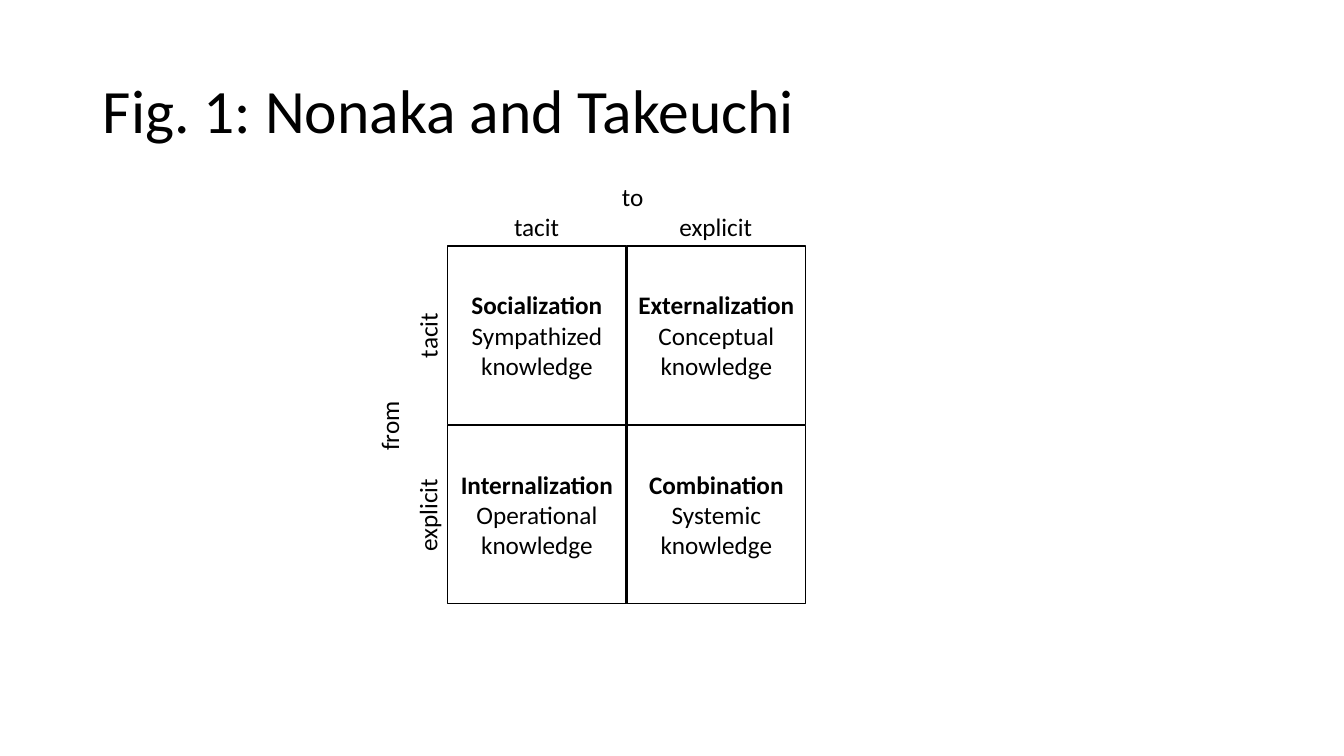
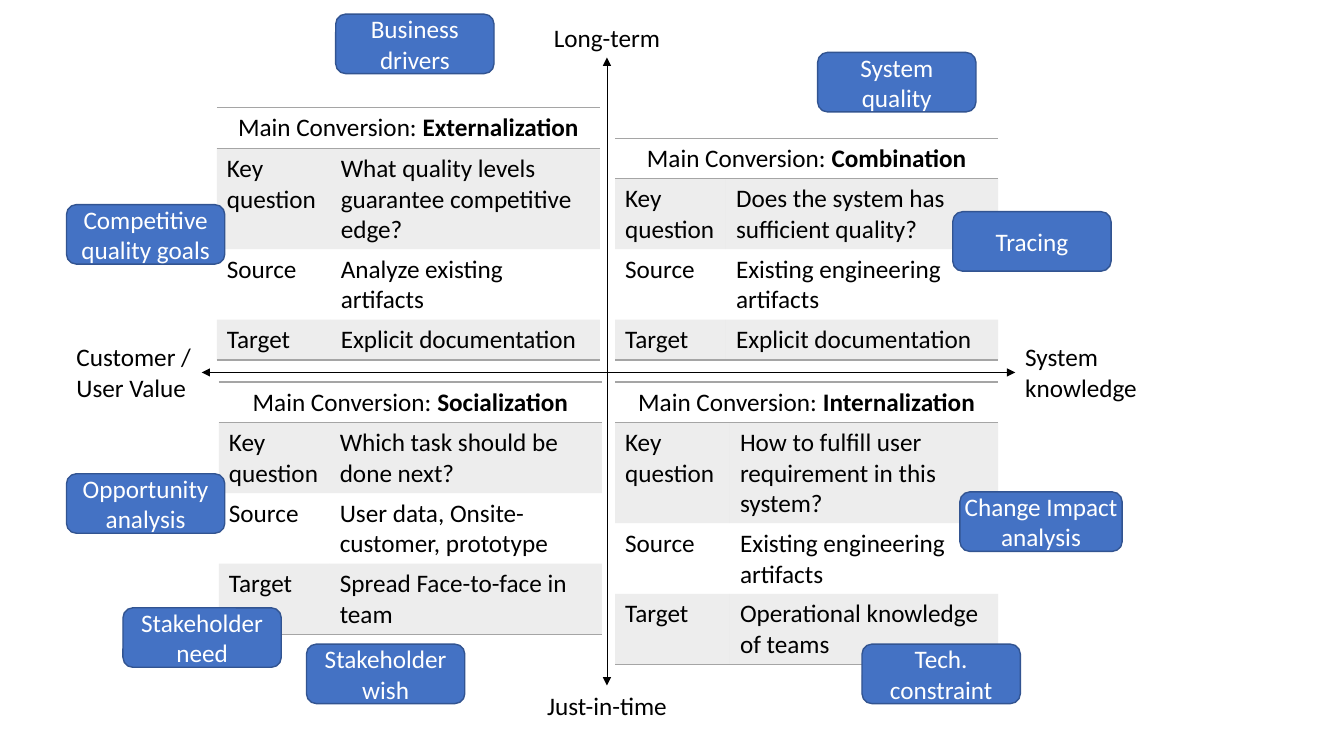
"""Build two slides on knowledge conversion: a 2 x 2 matrix and a quadrant map."""
from lxml import etree
from pptx import Presentation
from pptx.dml.color import RGBColor as RGB
from pptx.enum.shapes import MSO_CONNECTOR, MSO_SHAPE as SHAPE
from pptx.enum.text import MSO_ANCHOR as ANCHOR, MSO_AUTO_SIZE as AUTO, PP_ALIGN as AL
from pptx.oxml.ns import qn
from pptx.util import Inches, Pt

COLORS = {"text": "000000", "light": "FFFFFF", "pill": "4472C4",
          "edge": "325491", "grey": "A5A5A5"}
FONT = {"name": "Calibri", "size": Pt(18)}
TITLE_FONT = {"name": "Calibri", "size": Pt(44)}
NO_GRID_STYLE = "{2D5ABB26-0587-4C30-8999-92F81FD0307C}"

TITLE = "Fig. 1: Nonaka and Takeuchi"
MATRIX = [
    [("Socialization", "Sympathized knowledge"), ("Externalization", "Conceptual knowledge")],
    [("Internalization", "Operational knowledge"), ("Combination", "Systemic knowledge")],
]
MATRIX_LEFT, MATRIX_TOP, SIDE, STEP = 4.44, 2.44, 1.77, 1.78
KINDS = [("tacit", 0.65), ("explicit", 0.93)]
LABEL_H = 0.4

ROW_NAMES = ["Key question", "Source", "Target"]
TABLES = [
    ("Externalization", 2.15, 1.07, 1.13, [
        ("What quality levels guarantee competitive edge?", 3),
        ("Analyze existing artifacts", 2), ("Explicit documentation", 1)]),
    ("Internalization", 6.1, 3.79, 1.14, [
        ("How to fulfill user requirement in this system?", 3),
        ("Existing engineering artifacts", 2), ("Operational knowledge of teams", 2)]),
    ("Socialization", 2.17, 3.79, 1.1, [
        ("Which task should be done next?", 2),
        ("User data, Onsite-customer, prototype", 2), ("Spread Face-to-face in team", 2)]),
    ("Combination", 6.1, 1.37, 1.1, [
        ("Does the system has sufficient quality?", 2),
        ("Existing engineering artifacts", 2), ("Explicit documentation", 1)]),
]
TABLE_W = 3.8
AXIS_LABELS = {
    "west": ("Customer / User Value", (0.66, 3.34, 1.34, 0.71), AL.LEFT),
    "east": ("System knowledge", (10.07, 3.34, 1.7, 0.71), AL.LEFT),
    "south": ("Just-in-time", (5.17, 6.8, 1.7, LABEL_H), AL.CENTER),
    "north": ("Long-term", (5.17, 0.17, 1.7, LABEL_H), AL.CENTER),
}
AXES = [("west", 3, "east", 1), ("south", 0, "north", 2)]
PILL_W, PILL_H = 1.57, 0.59
PILLS = [
    ("Stakeholder wish", 3.04, 6.39),
    ("Tech. constraint", 8.55, 6.39),
    ("Business drivers", 3.33, 0.14),
    ("Competitive quality goals", 0.66, 2.03),
    ("System quality", 8.11, 0.52),
    ("Stakeholder need", 1.22, 6.03),
    ("Opportunity analysis", 0.66, 4.7),
    ("Tracing", 9.45, 2.1),
]
WIDE_PILL = ("Change Impact analysis", 9.52, 4.88, 1.61, 0)


def color(name):
    return RGB.from_string(COLORS[name])


def assign(target, values):
    for key, value in values.items():
        setattr(target, key, value)


def write(tf, paragraphs, align=AL.LEFT, ink="text", font=FONT):
    """Fill a text frame with paragraphs, each a list of (text, bold) runs."""
    for i, runs in enumerate(paragraphs):
        p = tf.add_paragraph() if i else tf.paragraphs[0]
        p.alignment = align
        for text, bold in runs:
            r = p.add_run()
            r.text = text
            assign(r.font, {**font, "bold": bold})
            r.font.color.rgb = color(ink)


def add_box(slide, kind, box, paragraphs, ink="text", fill=None, edge="text", inset=0.1):
    sp = slide.shapes.add_shape(kind, *map(Inches, box))
    sp.shadow.inherit = False
    if fill:
        sp.fill.solid()
        sp.fill.fore_color.rgb = color(fill)
    else:
        sp.fill.background()
    sp.line.color.rgb = color(edge)
    sp.line.width = Pt(1)
    assign(sp.text_frame, {"word_wrap": True, "vertical_anchor": ANCHOR.MIDDLE,
                           "margin_left": Inches(inset), "margin_right": Inches(inset)})
    write(sp.text_frame, paragraphs, AL.CENTER, ink)


def add_label(slide, text, box, align=AL.LEFT, wrap=True, rotation=0):
    sp = slide.shapes.add_textbox(*map(Inches, box))
    sp.rotation = rotation
    assign(sp.text_frame, {"word_wrap": wrap, "auto_size": AUTO.SHAPE_TO_FIT_TEXT})
    write(sp.text_frame, [[(text, False)]], align)
    return sp


def add_centred_label(slide, text, width, cx, cy, rotation=0):
    box = (cx - width / 2, cy - LABEL_H / 2, width, LABEL_H)
    add_label(slide, text, box, wrap=False, rotation=rotation)


def add_pill(slide, text, left, top, width=PILL_W, inset=0.1):
    add_box(slide, SHAPE.ROUNDED_RECTANGLE, (left, top, width, PILL_H), [[(text, False)]],
            "light", "pill", "edge", inset)


def add_axis(slide, start, start_site, end, end_site):
    line = slide.shapes.add_connector(MSO_CONNECTOR.STRAIGHT, 0, 0, 0, 0)
    line.begin_connect(start, start_site)
    line.end_connect(end, end_site)
    line.line.color.rgb = color("text")
    line.line.width = Pt(0.5)
    ln = line.line._get_or_add_ln()
    for tag in ("a:headEnd", "a:tailEnd"):
        etree.SubElement(ln, qn(tag), type="triangle")
    etree.SubElement(line._element.spPr, qn("a:effectLst"))


def style_cell(cell, shaded, borders):
    tc_pr = cell._tc.get_or_add_tcPr()
    if shaded:
        cell.fill.solid()
        cell.fill.fore_color.rgb = color("grey")
        etree.SubElement(tc_pr.find(".//" + qn("a:srgbClr")), qn("a:alpha"), val="20000")
    else:
        cell.fill.background()
    for i, tag in enumerate(borders):
        ln = etree.Element(qn(tag), w=str(Pt(1)))
        fill = etree.SubElement(ln, qn("a:solidFill"))
        etree.SubElement(fill, qn("a:srgbClr"), val=COLORS["grey"])
        tc_pr.insert(i, ln)


def add_conversion_table(slide, name, left, top, name_w, answers):
    heights = [0.1 + 0.3 * lines for lines in [1] + [n for _, n in answers]]
    frame = slide.shapes.add_table(len(heights), 2, *map(Inches, (left, top, TABLE_W, sum(heights))))
    table = frame.table
    assign(table, {"first_row": False, "horz_banding": False})
    table._tbl.tblPr.find(qn("a:tableStyleId")).text = NO_GRID_STYLE
    for column, width in zip(table.columns, (name_w, TABLE_W - name_w)):
        column.width = Inches(width)
    last = len(heights) - 1
    for i, height in enumerate(heights):
        table.rows[i].height = Inches(height)
        borders = {0: ("a:lnT", "a:lnB"), last: ("a:lnB",)}.get(i, ())
        for j in range(2):
            style_cell(table.cell(i, j), i % 2 == 1, borders)
    header = table.cell(0, 0)
    header.merge(table.cell(0, 1))
    write(header.text_frame, [[("Main Conversion: ", False), (name, True)]], AL.CENTER)
    for i, (row_name, (answer, _)) in enumerate(zip(ROW_NAMES, answers), 1):
        for j, text in enumerate((row_name, answer)):
            write(table.cell(i, j).text_frame, [[(text, False)]])


def build_matrix(prs):
    slide = prs.slides.add_slide(prs.slide_layouts[5])
    title = slide.shapes.title
    assign(title, dict(zip(("left", "top", "width", "height"),
                           map(Inches, (0.92, 0.4, 11.5, 1.45)))))
    title.text_frame.vertical_anchor = ANCHOR.MIDDLE
    write(title.text_frame, [[(TITLE, False)]], font=TITLE_FONT)
    title.text_frame.paragraphs[0].line_spacing = 0.9
    for i, row in enumerate(MATRIX):
        for j, (name, result) in enumerate(row):
            box = (MATRIX_LEFT + j * STEP, MATRIX_TOP + i * STEP, SIDE, SIDE)
            add_box(slide, SHAPE.RECTANGLE, box, [[(name, True)], [(result, False)]])
    for i, (kind, width) in enumerate(KINDS):
        middle = SIDE / 2 + i * STEP
        add_centred_label(slide, kind, width, MATRIX_LEFT + middle, 2.25)
        add_centred_label(slide, kind, width, 4.24, MATRIX_TOP + middle, 270)
    add_centred_label(slide, "to", 0.42, 6.28, 1.95)
    add_centred_label(slide, "from", 0.7, 3.86, 4.22, 270)


def build_quadrants(prs):
    slide = prs.slides.add_slide(prs.slide_layouts[6])
    for table in TABLES:
        add_conversion_table(slide, *table)
    labels = {side: add_label(slide, *label) for side, label in AXIS_LABELS.items()}
    for start, start_site, end, end_site in AXES:
        add_axis(slide, labels[start], start_site, labels[end], end_site)
    for pill in PILLS + [WIDE_PILL]:
        add_pill(slide, *pill)


def main():
    prs = Presentation()
    prs.slide_width, prs.slide_height = Inches(13.33), Inches(7.5)
    build_matrix(prs)
    build_quadrants(prs)
    prs.save("out.pptx")


if __name__ == "__main__":
    main()
